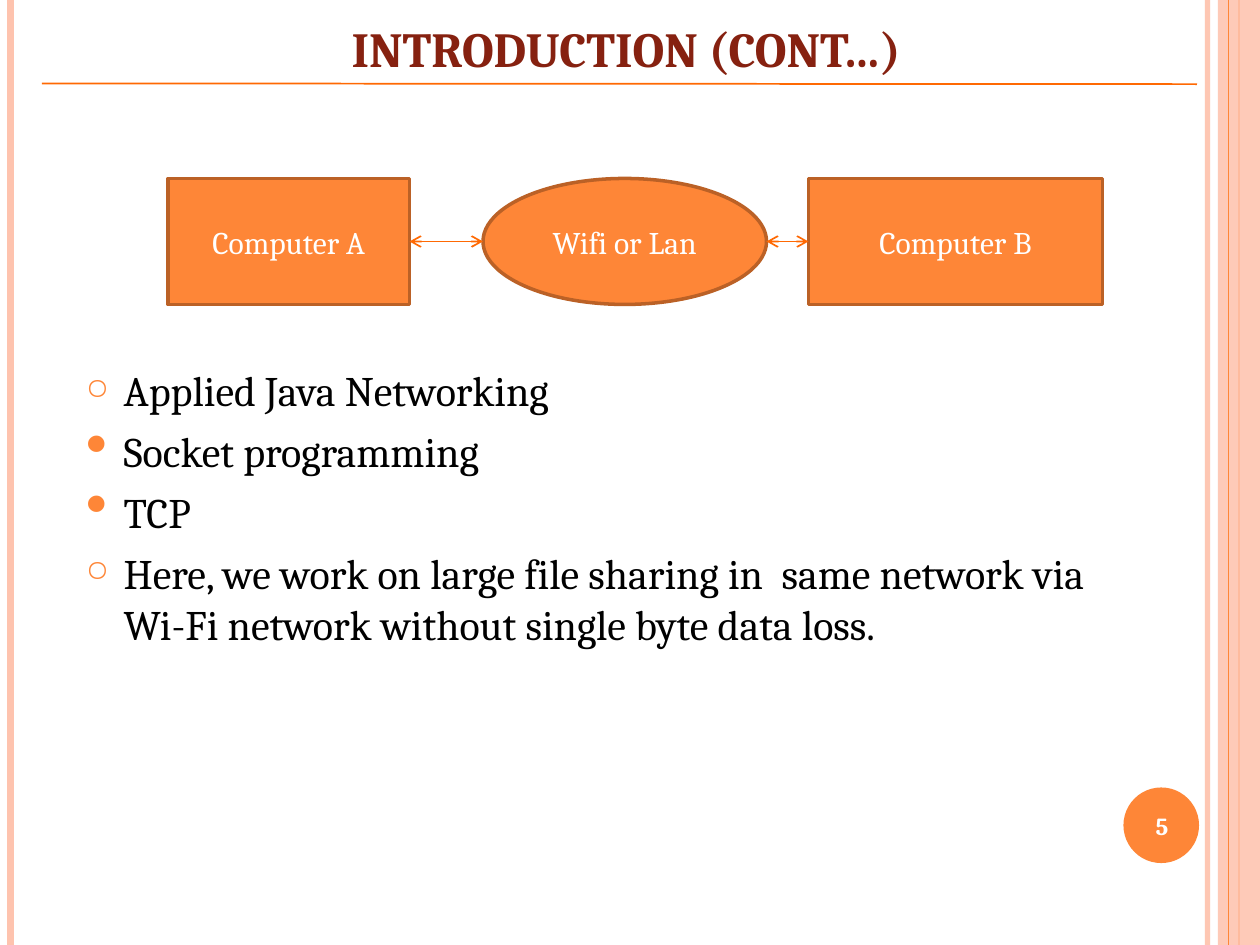
from dataclasses import dataclass

from lxml import etree
from pptx import Presentation
from pptx.dml.color import RGBColor
from pptx.enum.shapes import MSO_CONNECTOR, MSO_SHAPE
from pptx.enum.text import MSO_ANCHOR, PP_ALIGN
from pptx.oxml.ns import qn
from pptx.util import Pt

RECT, OVAL = MSO_SHAPE.RECTANGLE, MSO_SHAPE.OVAL
STRAIGHT = MSO_CONNECTOR.STRAIGHT
MIDDLE, BOTTOM, TOP = MSO_ANCHOR.MIDDLE, MSO_ANCHOR.BOTTOM, MSO_ANCHOR.TOP
CENTER = PP_ALIGN.CENTER
LEFT_SIDE, RIGHT_SIDE = 1, 3
WIDTH, HEIGHT = 720, 540


@dataclass(frozen=True)
class Theme:
    font: str = "Cambria"
    accent: str = "FE8637"
    pale: str = "FEC3AE"
    outline: str = "BB6126"
    rule: str = "FF6903"
    heading: str = "862110"
    body: str = "000000"
    light: str = "FFFFFF"
    title_size: int = 28
    body_size: int = 24
    node_size: int = 18
    number_size: int = 14


@dataclass(frozen=True)
class Stripe:
    x: float
    color: str
    width: float
    opacity: int = 100


@dataclass(frozen=True)
class Node:
    label: str
    kind: int
    x: float
    width: float


@dataclass(frozen=True)
class Bullet:
    text: str
    mark: str
    scale: int


T = Theme()
NODE_TOP, NODE_HEIGHT = 102, 72
INDENT = 21.6
BACK_STRIPES = [Stripe(690, T.pale, 3, 93), Stripe(6, T.pale, 4.5),
                Stripe(708, T.accent, 1.5)]
FRONT_STRIPE = Stripe(702, T.accent, 0.75)
COMPUTER_A = Node("Computer A", RECT, 96, 138)
COMPUTER_B = Node("Computer B", RECT, 462, 168)
NETWORK = Node("Wifi or Lan", OVAL, 276, 162)
RING, DOT = ("○", 70), ("•", 150)
BULLETS = [
    Bullet("Applied Java Networking", *RING),
    Bullet("Socket programming", *DOT),
    Bullet("TCP", *DOT),
    Bullet("Here, we work on large file sharing in  same network via "
           "Wi-Fi network without single byte data loss.", *RING),
]


def set_opacity(props, percent: int) -> None:
    color = next(props.iter(qn("a:srgbClr")))
    etree.SubElement(color, qn("a:alpha"), val=str(percent * 1000))


def add_run(p, text: str, size: float, color: str, bold: bool = False) -> None:
    r = p.add_run()
    r.text = text
    r.font.name = T.font
    r.font.size = Pt(size)
    r.font.bold = bold
    r.font.color.rgb = RGBColor.from_string(color)


def add_line(s, x1: float, y1: float, x2: float, y2: float,
             color: str, width: float, arrows: bool = False):
    cx = s.shapes.add_connector(STRAIGHT, Pt(x1), Pt(y1), Pt(x2), Pt(y2))
    cx.line.color.rgb = RGBColor.from_string(color)
    cx.line.width = Pt(width)
    props = cx._element.spPr
    etree.SubElement(props, qn("a:effectLst"))
    if arrows:
        for end in ("a:headEnd", "a:tailEnd"):
            etree.SubElement(props.find(qn("a:ln")), qn(end), type="arrow")
    return cx


def add_stripe(s, stripe: Stripe) -> None:
    cx = add_line(s, stripe.x, 0, stripe.x, HEIGHT, stripe.color, stripe.width)
    if stripe.opacity < 100:
        set_opacity(cx._element.spPr, stripe.opacity)


def add_filled(s, kind: int, x: float, y: float, w: float, h: float, fill: str):
    sp = s.shapes.add_shape(kind, Pt(x), Pt(y), Pt(w), Pt(h))
    sp.shadow.inherit = False
    sp.fill.solid()
    sp.fill.fore_color.rgb = RGBColor.from_string(fill)
    sp.line.fill.background()
    return sp


def add_text_box(s, x: float, y: float, w: float, h: float, anchor: int):
    tf = s.shapes.add_textbox(Pt(x), Pt(y), Pt(w), Pt(h)).text_frame
    tf.word_wrap = True
    tf.vertical_anchor = anchor
    return tf


def add_centered(s, x: float, y: float, w: float, h: float, anchor: int,
                 text: str, size: float, color: str) -> None:
    p = add_text_box(s, x, y, w, h, anchor).paragraphs[0]
    p.alignment = CENTER
    add_run(p, text, size, color, bold=True)


def add_node(s, node: Node):
    sp = add_filled(s, node.kind, node.x, NODE_TOP, node.width, NODE_HEIGHT, T.accent)
    sp.line.color.rgb = RGBColor.from_string(T.outline)
    sp.line.width = Pt(2)
    tf = sp.text_frame
    tf.word_wrap = True
    tf.vertical_anchor = MIDDLE
    p = tf.paragraphs[0]
    p.alignment = CENTER
    add_run(p, node.label, T.node_size, T.light)
    return sp


def add_bullet(p, bullet: Bullet) -> None:
    props = p._p.get_or_add_pPr()
    props.set("marL", str(Pt(INDENT)))
    props.set("indent", str(-Pt(INDENT)))
    color = etree.SubElement(props, qn("a:buClr"))
    etree.SubElement(color, qn("a:srgbClr"), val=T.accent)
    etree.SubElement(props, qn("a:buSzPct"), val=str(bullet.scale * 1000))
    etree.SubElement(props, qn("a:buChar"), char=bullet.mark)
    add_run(p, bullet.text, T.body_size, T.body)


def main() -> None:
    prs = Presentation()
    prs.slide_width, prs.slide_height = Pt(WIDTH), Pt(HEIGHT)
    s = prs.slides.add_slide(prs.slide_layouts[6])

    # Side stripes and number disc
    for stripe in BACK_STRIPES:
        add_stripe(s, stripe)
    band = add_filled(s, RECT, 696, 0, 24, HEIGHT, T.pale)
    set_opacity(band._element.spPr, 87)
    add_stripe(s, FRONT_STRIPE)
    add_filled(s, OVAL, 642, 450, 43.2, 43.2, T.accent)

    # Title and rule
    add_centered(s, 93.6, -2, 528.5, 49.7, BOTTOM,
                 "INTRODUCTION (CONT…)", T.title_size, T.heading)
    add_line(s, 24, 47.7, 684, 48.1, T.rule, 1)

    # Bullets
    tf = add_text_box(s, 42, 205, 588, 257, TOP)
    for i, bullet in enumerate(BULLETS):
        p = tf.add_paragraph() if i else tf.paragraphs[0]
        add_bullet(p, bullet)
        if i:
            p.space_before = Pt(6)

    # Slide number
    add_centered(s, 640, 451.4, 48, 41, MIDDLE, "5", T.number_size, T.light)

    # Network diagram
    left, right, _ = [add_node(s, n) for n in (COMPUTER_A, COMPUTER_B, NETWORK)]
    mid = NODE_TOP + NODE_HEIGHT / 2
    for sp, side, start, end in (
            (right, LEFT_SIDE, NETWORK.x + NETWORK.width, COMPUTER_B.x),
            (left, RIGHT_SIDE, NETWORK.x, COMPUTER_A.x + COMPUTER_A.width)):
        add_line(s, start, mid, end, mid, T.rule, 1, arrows=True).end_connect(sp, side)

    prs.save("out.pptx")


if __name__ == "__main__":
    main()
